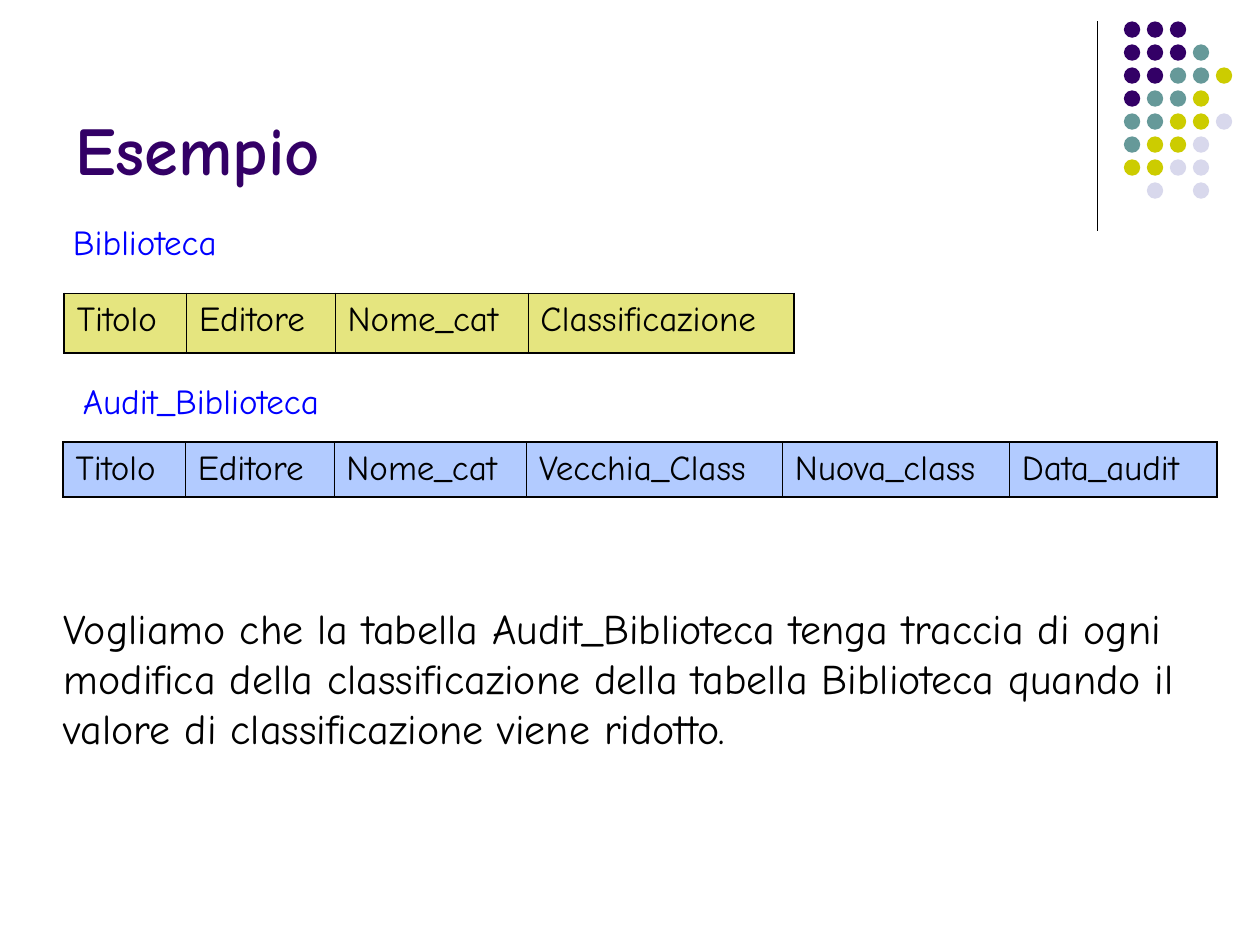
"""Build the slide on auditing changes to a library table."""
from lxml.etree import SubElement
from pptx import Presentation
from pptx.dml.color import RGBColor
from pptx.enum.shapes import MSO_CONNECTOR as Connector, MSO_SHAPE as Shape
from pptx.enum.text import MSO_ANCHOR as Anchor
from pptx.oxml import parse_xml
from pptx.oxml.ns import nsdecls, qn
from pptx.util import Inches, Pt

FONT = "Comic Neue"
THIN, THICK = 0.45, 1.08
TEXTS = [
    ("Esempio", (0.5, 0.13, 8.25, 1.42), "330066",
     {"size": Pt(39), "bold": True}, {"word_wrap": True, "vertical_anchor": Anchor.BOTTOM}),
    ("Biblioteca", (0.48, 1.7, 1.35, 0.44), "0000FF", {"size": Pt(20)}, {"word_wrap": False}),
    ("Audit_Biblioteca", (0.56, 2.96, 2.08, 0.44), "0000FF", {"size": Pt(20)}, {"word_wrap": False}),
    ("Vogliamo che la tabella Audit_Biblioteca tenga traccia di ogni modifica della "
     "classificazione della tabella Biblioteca quando il valore di classificazione viene ridotto.",
     (0.41, 4.73, 9.24, 1.3), "000000", {"size": Pt(24)}, {"word_wrap": True}),
]
SHARED_COLUMNS = [("Titolo", 0.97), ("Editore", 1.18), ("Nome_cat", 1.53)]
TABLES = [
    ((0.51, 2.33), 0.47, "CCCC00", SHARED_COLUMNS + [("Classificazione", 2.11)]),
    ((0.5, 3.51), 0.43, "6699FF",
     SHARED_COLUMNS + [("Vecchia_Class", 2.03), ("Nuova_class", 1.8), ("Data_audit", 1.65)]),
]
DOT_COLORS = {"P": "330066", "T": "669999", "Y": "CCCC00", "L": "D8D8EC"}
DOT_ROWS = ["PPP", "PPPT", "PPTTY", "PTTY", "TTYYL", "TYYL", "YYLL", ".L.L"]
DOT_LEFT, DOT_TOP, DOT_SIZE, DOT_PITCH = 8.92, 0.17, 0.13, 0.73 / 4


def rgb(color):
    return RGBColor.from_string(color)


def inches(values):
    return [Inches(value) for value in values]


def apply(target, formats):
    for name, value in formats.items():
        setattr(target, name, value)


def write(frame, text, color, formats):
    para = frame.paragraphs[0]
    span = para.add_run()
    span.text = text
    apply(span.font, {"name": FONT, **formats})
    span.font.color.rgb = rgb(color)
    return para


def add_dots(page):
    for row, letters in enumerate(DOT_ROWS):
        for column, letter in enumerate(letters):
            if letter in DOT_COLORS:
                place = (DOT_LEFT + column * DOT_PITCH, DOT_TOP + row * DOT_PITCH, DOT_SIZE, DOT_SIZE)
                dot = page.shapes.add_shape(Shape.OVAL, *inches(place))
                dot.shadow.inherit = False
                dot.fill.solid()
                dot.fill.fore_color.rgb = rgb(DOT_COLORS[letter])
                dot.line.fill.background()


def add_rule(page):
    rule = page.shapes.add_connector(Connector.STRAIGHT, *inches((8.71, 0.17, 8.71, 1.83)))
    rule.line.width = Pt(0.74)
    rule.line.color.rgb = rgb("000000")
    SubElement(rule._element.spPr, qn("a:effectLst"))


def style_cell(cell, color, widths):
    cell.fill.solid()
    cell.fill.fore_color.rgb = rgb(color)
    properties = cell._tc.get_or_add_tcPr()
    SubElement(properties.find(".//" + qn("a:srgbClr")), qn("a:alpha"), val="50000")
    for index, (side, width) in enumerate(widths.items()):
        properties.insert(index, parse_xml(
            f'<a:ln{side} {nsdecls("a")} w="{Pt(width)}"><a:solidFill>'
            f'<a:srgbClr val="000000"/></a:solidFill></a:ln{side}>'))


def add_header_table(page, corner, height, color, columns):
    size = (sum(width for _, width in columns), height)
    table = page.shapes.add_table(1, len(columns), *inches(corner + size)).table
    apply(table, {"first_row": False, "horz_banding": False})
    last = len(columns) - 1
    for index, (label, width) in enumerate(columns):
        table.columns[index].width = Inches(width)
        cell = table.cell(0, index)
        para = write(cell.text_frame, label, "000000", {"size": Pt(20)})
        para.space_before = Pt(5)
        style_cell(cell, color, {"L": THIN if index else THICK, "R": THICK if index == last else THIN,
                                 "T": THICK, "B": THICK})


deck = Presentation()
apply(deck, {"slide_width": Inches(10), "slide_height": Inches(7.5)})
page = deck.slides.add_slide(deck.slide_layouts[6])
add_rule(page)
add_dots(page)
for text, place, color, font_formats, frame_formats in TEXTS:
    box = page.shapes.add_textbox(*inches(place))
    apply(box.text_frame, frame_formats)
    write(box.text_frame, text, color, font_formats)
for table_layout in TABLES:
    add_header_table(page, *table_layout)
deck.save("out.pptx")
